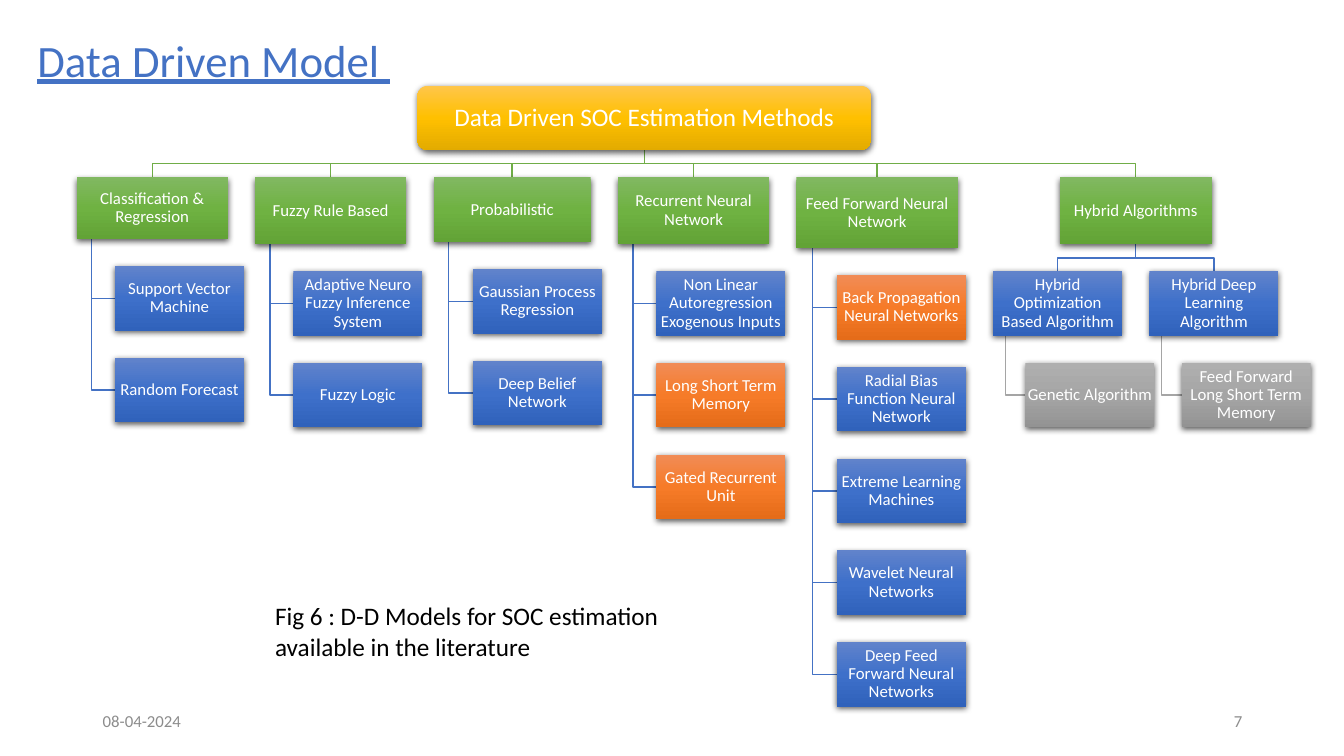
from dataclasses import dataclass, field
from copy import deepcopy
from lxml.etree import SubElement
from pptx import Presentation
from pptx.dml.color import RGBColor
from pptx.enum.shapes import MSO_SHAPE as Kind
from pptx.enum.text import MSO_ANCHOR as Anchor, MSO_AUTO_SIZE as Fit, PP_ALIGN as Align
from pptx.oxml.ns import qn
from pptx.util import Pt

SCALE = 9144
GAP, STEP = 27, 91
KID_W, KID_H = 128, 64
FONT = "Calibri"
WHITE, BLACK, MUTED = "FFFFFF", "000000", "8C8C8C"
BLUE, GREEN, GREY = "4472C4", "70AD47", "A5A5A5"
TONES = {
    "gold": ("FFC64B", "FFC000", "E3AB00"),
    "green": ("81B861", "6FB242", "62A336"),
    "blue": ("6183CB", "3E70CA", "3062BB"),
    "orange": ("F18C57", "F67B28", "E56C19"),
    "grey": ("AFAFAF", "A5A5A5", "939393"),
}
HEADS = [
    (76, 150, 61, "Classification & Regression",
     [("Support Vector Machine", "blue"), ("Random Forecast", "blue")]),
    (253, 150, 66, "Fuzzy Rule Based",
     [("Adaptive Neuro Fuzzy Inference System", "blue"), ("Fuzzy Logic", "blue")]),
    (430, 156, 64, "Probabilistic",
     [("Gaussian Process Regression", "blue"), ("Deep Belief Network", "blue")]),
    (613, 150, 66, "Recurrent Neural Network",
     [("Non Linear Autoregression Exogenous Inputs", "blue"),
      ("Long Short Term Memory", "orange"), ("Gated Recurrent Unit", "orange")]),
    (790, 160, 70, "Feed Forward Neural Network",
     [("Back Propagation Neural Networks", "orange"),
      ("Radial Bias Function Neural Network", "blue"),
      ("Extreme Learning Machines", "blue"), ("Wavelet Neural Networks", "blue"),
      ("Deep Feed Forward Neural Networks", "blue")]),
]
HYBRIDS = [
    (985, "Hybrid Optimization Based Algorithm", "Genetic Algorithm"),
    (1140, "Hybrid Deep Learning Algorithm", "Feed Forward Long Short Term Memory"),
]


def px(count):
    return round(count * SCALE)


def hue(code):
    return RGBColor.from_string(code)


@dataclass
class Node:
    text: str
    tone: str
    x: int
    y: int
    w: int = KID_W
    h: int = KID_H
    ink: str = BLUE
    fan: bool = False
    kids: list = field(default_factory=list)

    @property
    def mid(self):
        return self.x + self.w / 2

    @property
    def foot(self):
        return self.y + self.h

    def hang(self, items):
        left = self.x + round(self.w / 4)
        for row, (text, tone) in enumerate(items):
            self.kids.append(Node(text, tone, left, self.foot + GAP + row * STEP))

    def route(self, kid):
        if self.fan:
            bend = self.foot + GAP / 2
            return [(self.mid, self.foot), (self.mid, bend), (kid.mid, bend), (kid.mid, kid.y)]
        stem, level = self.x + self.w // 10, kid.y + kid.h / 2
        return [(stem, self.foot), (stem, level), (kid.x, level)]


class Deck:
    def __init__(self):
        self.show = Presentation()
        self.show.slide_width, self.show.slide_height = px(1333), px(750)
        self.slide = self.show.slides.add_slide(self.show.slide_layouts[5])
        self.items = self.slide.shapes

    def letter(self, shape, text, size, color, align=Align.LEFT, anchor=Anchor.TOP):
        frame = shape.text_frame
        frame.text = text
        frame.word_wrap = True
        frame.auto_size = Fit.NONE
        frame.vertical_anchor = anchor
        para = frame.paragraphs[0]
        para.alignment = align
        para.font.name, para.font.size = FONT, Pt(size)
        para.font.color.rgb = hue(color)
        return para

    def title(self, text, x, y, w, h):
        shape = self.items.title
        shape.left, shape.top, shape.width, shape.height = map(px, (x, y, w, h))
        self.letter(shape, text, 32, BLUE).font.underline = True

    def label(self, text, x, y, w, h, size, color, **style):
        shape = self.items.add_textbox(*map(px, (x, y, w, h)))
        self.letter(shape, text, size, color, **style)

    def link(self, points, color):
        pen = self.items.build_freeform(*points[0], scale=SCALE)
        pen.add_line_segments(points[1:], close=False)
        shape = pen.convert_to_shape()
        shape.fill.background()
        shape.line.color.rgb = hue(color)
        shape.line.width = Pt(1)
        shape.shadow.inherit = False

    def paint(self, shape, tone):
        shape.fill.gradient()
        shape.fill.gradient_angle = 270
        props = shape.element.spPr
        stops = props.find(".//" + qn("a:gsLst"))
        stops.insert(1, deepcopy(stops[0]))
        for stop, place, code in zip(shape.fill.gradient_stops, (0, 0.5, 1), TONES[tone]):
            stop.position = place
            stop.color.rgb = hue(code)
        shape.line.fill.background()
        shape.shadow.inherit = False
        shade = SubElement(props.find(qn("a:effectLst")), qn("a:outerShdw"),
                           blurRad="57150", dist="19050", dir="5400000",
                           algn="ctr", rotWithShape="0")
        color = SubElement(shade, qn("a:srgbClr"), val=BLACK)
        SubElement(color, qn("a:alpha"), val="63000")

    def box(self, node, kind, size):
        shape = self.items.add_shape(kind, *map(px, (node.x, node.y, node.w, node.h)))
        self.paint(shape, node.tone)
        para = self.letter(shape, node.text, size, WHITE, Align.CENTER, Anchor.MIDDLE)
        para.line_spacing = 0.9
        frame = shape.text_frame
        frame.margin_left = frame.margin_right = px(1)
        frame.margin_top = frame.margin_bottom = px(1)

    def tree(self, node, kind=Kind.RECTANGLE, size=12):
        for kid in node.kids:
            self.link(node.route(kid), node.ink)
        for kid in node.kids:
            self.tree(kid)
        self.box(node, kind, size)


def chart():
    root = Node("Data Driven SOC Estimation Methods", "gold", 414, 85, 450, 64, GREEN, True)
    top = root.foot + GAP
    for x, w, h, text, items in HEADS:
        head = Node(text, "green", x, top, w, h)
        head.hang(items)
        root.kids.append(head)
    mixed = Node("Hybrid Algorithms", "green", 1051, top, 151, 66, fan=True)
    for x, text, leaf in HYBRIDS:
        kid = Node(text, "blue", x, mixed.foot + GAP, ink=GREY)
        kid.hang([(leaf, "grey")])
        mixed.kids.append(kid)
    root.kids.append(mixed)
    return root


def main():
    deck = Deck()
    deck.title("Data Driven Model ", 27, 27, 456, 64)
    deck.label("08-04-2024", 92, 695, 300, 40, 12, MUTED, anchor=Anchor.MIDDLE)
    deck.label("7", 942, 695, 300, 40, 12, MUTED, align=Align.RIGHT, anchor=Anchor.MIDDLE)
    deck.tree(chart(), Kind.ROUNDED_RECTANGLE, 18)
    deck.label("Fig 6 : D-D Models for SOC estimation available in the literature",
               263, 591, 490, 71, 18, BLACK)
    deck.show.save("out.pptx")


if __name__ == "__main__":
    main()
